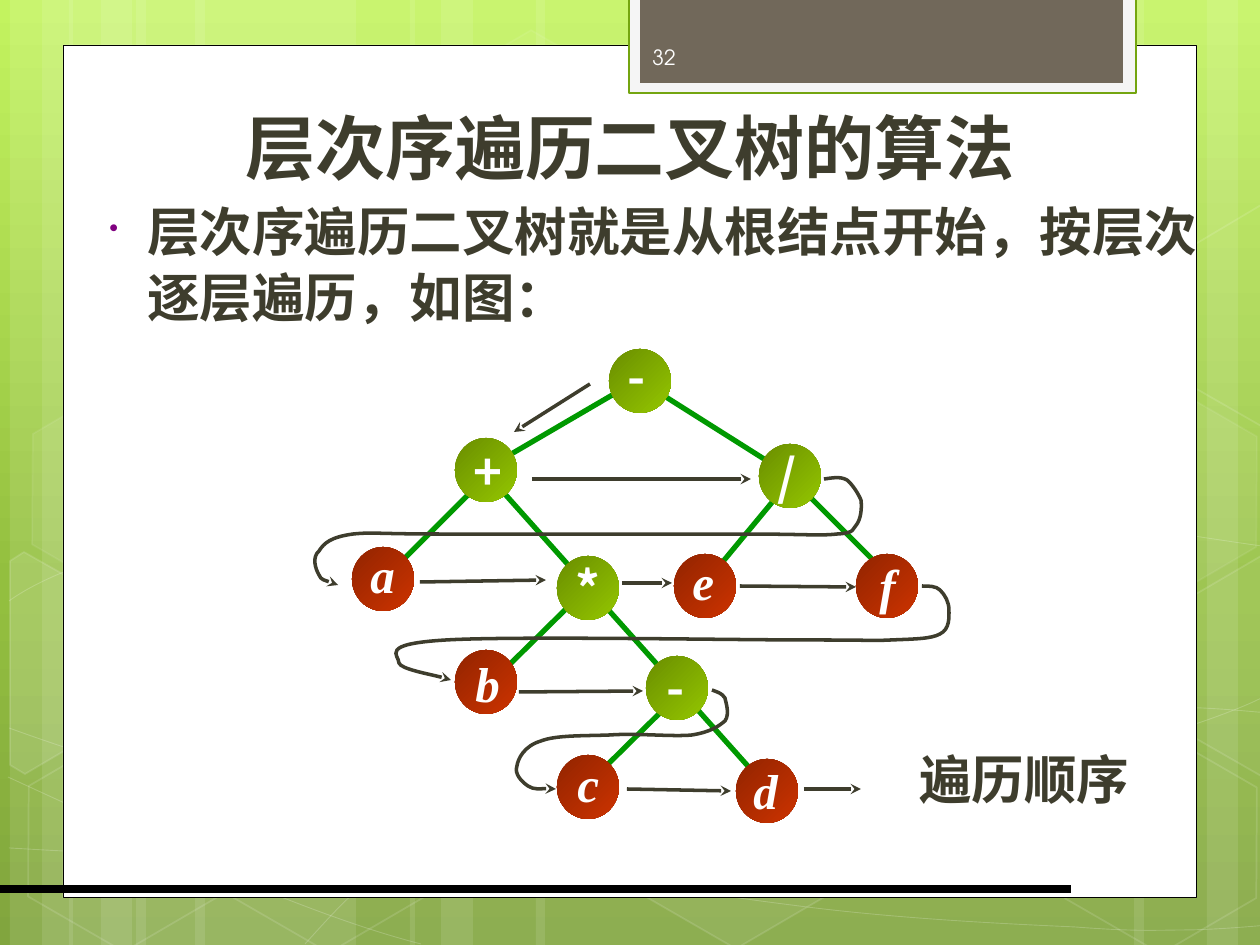
"""Slide on level-order traversal of a binary tree."""
import copy
from dataclasses import dataclass

from lxml import etree
from pptx import Presentation
from pptx import util as u
from pptx.dml.color import RGBColor
from pptx.enum import shapes, text
from pptx.oxml.ns import qn

PX = 914400 / 126
LEFT, CENTER = text.PP_ALIGN.LEFT, text.PP_ALIGN.CENTER
TOP, MIDDLE, BOTTOM = text.MSO_ANCHOR.TOP, text.MSO_ANCHOR.MIDDLE, text.MSO_ANCHOR.BOTTOM


@dataclass(frozen=True)
class Theme:
    """Colours, fonts and type sizes."""
    ink: str = "3E3D2D"
    white: str = "FFFFFF"
    black: str = "000000"
    edge: str = "009900"
    bullet: str = "800080"
    tab: str = "F5F5F5"
    tab_line: str = "74A510"
    tab_core: str = "71685A"
    number: str = "FEFEFE"
    backdrop: tuple = ((0, "C3F35F"), (0.62, "93BF3F"), (1, "81A53E"))
    operator: tuple = ((0, "6A8E00"), (1, "94C600"))
    operand: tuple = ((0, "922400"), (1, "CC3300"))
    head_font: str = "TeX Gyre Adventor"
    body_font: str = "Times New Roman"
    cjk_font: str = "Noto Sans CJK SC"
    title: int = 40
    body: int = 30
    label: int = 28
    small: int = 12


T = Theme()

BANDS = ((136, 220), (10, 63), (42, 104), (195, 220), (69, 63), (101, 104),
         (924, 220), (1207, 63), (1134, 104), (536, 388), (410, 63), (441, 104))
SWEEPS = (
    ((9, 848), (77, 852), (145, 856), (239, 854), (334, 853), (451, 850), (577, 838),
     (703, 825), (882, 801), (998, 777), (1113, 753), (1231, 716), (1269, 694)),
    ((9, 601), (37, 581), (82, 562), (152, 543), (224, 524), (326, 496), (437, 488),
     (549, 479), (685, 478), (824, 488), (963, 498), (1193, 537), (1269, 547)),
    ((8, 777), (160, 847), (311, 916), (421, 944)),
    ((9, 728), (48, 742), (88, 756), (161, 776), (234, 795), (344, 827), (450, 848),
     (554, 869), (687, 892), (791, 905), (896, 919), (1008, 924), (1075, 927),
     (1140, 932), (1158, 930), (1191, 930), (1223, 929), (1246, 927), (1269, 925)),
    ((305, 944), (328, 919), (350, 893), (381, 871), (411, 848), (454, 822), (489, 805),
     (524, 788), (546, 780), (592, 767), (638, 754), (722, 737), (766, 728),
     (811, 719), (818, 719), (857, 717), (896, 713), (958, 709), (1000, 708),
     (1045, 707), (1116, 708), (1116, 708), (1144, 708), (1173, 708), (1201, 708),
     (1223, 709), (1245, 711), (1256, 712), (1268, 713), (1264, 712), (1268, 713)))
HEXAGONS = ((421, 45, 4, 8), (626, 742, 6, 12), (14, 745, 0, 12), (18, 393, 7, 8),
            (219, 746, 0, 12), (949, 571, 10, 12), (1051, 747, 0, 12), (1051, 396, 7, 8))
CUT_HEXAGONS = (
    (((10, 561), (24, 552), (121, 607), (120, 718), (25, 774), (10, 765)), 10),
    (((1167, 611), (1261, 556), (1271, 562), (1271, 772), (1263, 777), (1167, 722)), 4),
    (((1167, 261), (1261, 205), (1272, 212), (1271, 422), (1263, 427), (1167, 372)), 0))

EDGES = ((626, 387, 501, 460), (473, 490, 401, 562), (504, 493, 755, 774),
         (570, 605, 504, 670), (667, 706, 596, 776), (779, 494, 716, 570),
         (658, 392, 772, 464), (806, 493, 879, 566))
NODES = (("-", 609, 349, 6, -9, 50), ("a", 352, 547, 6, -9, 50), ("b", 455, 650, 8, -3, 50),
         ("c", 557, 755, 8, -8, 47), ("d", 736, 759, 5, -5, 50), ("f", 856, 554, 11, -5, 42),
         ("e", 674, 554, 6, -9, 47), ("+", 455, 438, 6, -3, 50), ("-", 646, 656, 8, -5, 50),
         ("*", 557, 556, 6, -4, 50), ("/", 759, 444, 6, -4, 50))
STEPS = ((590, 384, 514, 432), (532, 479, 751, 479), (420, 582, 546, 580),
         (622, 583, 672, 583), (740, 586, 856, 587), (519, 692, 643, 691),
         (627, 789, 731, 791), (804, 789, 861, 789))
RETURNS = (
    ((824, 479), (832, 478), (840, 476), (847, 480), (852, 484), (858, 493), (861, 500),
     (862, 508), (861, 518), (857, 524), (852, 529), (856, 533), (837, 534),
     (818, 536), (808, 534), (742, 534), (677, 534), (508, 534), (442, 534),
     (377, 534), (373, 532), (353, 534), (331, 537), (324, 543), (319, 551),
     (312, 557), (315, 568), (319, 575), (321, 580), (333, 583), (338, 585)),
    ((922, 586), (929, 586), (936, 586), (940, 590), (945, 595), (949, 602), (949, 610),
     (949, 617), (950, 629), (940, 634), (931, 639), (914, 639), (891, 640),
     (868, 641), (882, 640), (808, 640), (733, 640), (514, 636), (446, 640),
     (378, 644), (399, 655), (399, 663), (401, 669), (444, 677), (451, 680)),
    ((712, 690), (717, 692), (722, 693), (725, 698), (726, 703), (730, 714), (725, 721),
     (719, 726), (711, 732), (692, 735), (673, 737), (636, 733), (610, 735),
     (585, 736), (556, 735), (541, 741), (524, 746), (518, 759), (517, 766),
     (514, 774), (522, 782), (528, 786), (534, 790), (552, 788), (556, 789)))


def px(*lengths):
    """Turn pixel lengths into EMU."""
    return [u.Emu(round(n * PX)) for n in lengths]


def rgb(value):
    """Make a colour from its hex string."""
    return RGBColor.from_string(value)


def fade(sp, where, alpha):
    """Set the opacity, in percent, of one colour of a shape."""
    etree.SubElement(sp._element.spPr.find(where), qn("a:alpha"), val=str(alpha * 1000))


def blend(fill, holder, stops, angle):
    """Give a fill a linear gradient, its angle measured clockwise."""
    fill.gradient()
    fill.gradient_angle = 360 - angle
    gs_list = next(holder.iter(qn("a:gsLst")))
    while len(gs_list) < len(stops):
        gs_list.append(copy.deepcopy(gs_list[-1]))
    for stop, (position, color) in zip(fill.gradient_stops, stops):
        stop.color.rgb = rgb(color)
        stop.position = position


def style(sp, fill=None, line=None, width=1.0, alpha=100, line_alpha=100):
    """Set the fill and outline of a shape and drop its shadow."""
    sp.shadow.inherit = False
    if fill:
        sp.fill.solid()
        sp.fill.fore_color.rgb = rgb(fill)
        fade(sp, qn("a:solidFill") + "/" + qn("a:srgbClr"), alpha)
    else:
        sp.fill.background()
    if line:
        sp.line.color.rgb = rgb(line)
        sp.line.width = u.Pt(width)
        fade(sp, "/".join(map(qn, ("a:ln", "a:solidFill", "a:srgbClr"))), line_alpha)
    else:
        sp.line.fill.background()
    return sp


def preset(slide, kind, box, **look):
    """Add a preset shape."""
    return style(slide.shapes.add_shape(kind, *px(*box)), **look)


def arrowhead(sp):
    """End a line with a stealth arrowhead."""
    etree.SubElement(sp._element.spPr.find(qn("a:ln")), qn("a:tailEnd"), type="stealth")


def outline(slide, points, close=False, **look):
    """Add a freeform through straight points."""
    builder = slide.shapes.build_freeform(*points[0], scale=PX)
    builder.add_line_segments(points[1:], close=close)
    return style(builder.convert_to_shape(), **look)


def curve(slide, points, **look):
    """Add a chain of Bezier curves, three points to each after the start."""
    sp = outline(slide, points, **look)
    track = next(sp._element.iter(qn("a:path")))
    segments = track.findall(qn("a:lnTo"))
    for i in range(0, len(segments), 3):
        bend = etree.SubElement(track, qn("a:cubicBezTo"))
        for segment in segments[i:i + 3]:
            bend.append(segment[0])
            track.remove(segment)
    return sp


def line(slide, ends, color, width):
    """Add a straight line."""
    sp = slide.shapes.add_connector(shapes.MSO_CONNECTOR.STRAIGHT, *px(*ends))
    sp.line.color.rgb = rgb(color)
    sp.line.width = u.Pt(width)
    etree.SubElement(sp._element.spPr, qn("a:effectLst"))
    return sp


def words(slide, box, content, size, font, color=T.ink, bold=True, italic=False,
          align=LEFT, anchor=TOP, wrap=True):
    """Add a text box with one run and return its paragraph."""
    tf = slide.shapes.add_textbox(*px(*box)).text_frame
    tf.word_wrap = wrap
    tf.vertical_anchor = anchor
    if not wrap:
        tf.auto_size = text.MSO_AUTO_SIZE.SHAPE_TO_FIT_TEXT
    p = tf.paragraphs[0]
    p.alignment = align
    r = p.add_run()
    r.text = content
    r.font.size, r.font.name = u.Pt(size), font
    r.font.bold, r.font.italic = bold, italic
    r.font.color.rgb = rgb(color)
    etree.SubElement(r.font._element, qn("a:ea"), typeface=T.cjk_font)
    return p


def bullet(p):
    """Give a paragraph a small hanging bullet."""
    p.line_spacing, p.space_before = 1.05, u.Pt(6)
    props = p._p.get_or_add_pPr()
    margin, indent = px(48, -38)
    props.set("marL", str(margin))
    props.set("indent", str(indent))
    color = etree.SubElement(props, qn("a:buClr"))
    etree.SubElement(color, qn("a:srgbClr"), val=T.bullet)
    etree.SubElement(props, qn("a:buSzPct"), val="50000")
    etree.SubElement(props, qn("a:buChar"), char="•")


def backdrop(slide):
    """Draw the green background, the white page and its tab."""
    rect = shapes.MSO_SHAPE.RECTANGLE
    blend(slide.background.fill, slide._element, T.backdrop, 90)
    for left, width in BANDS:
        preset(slide, rect, (left, 0, width, 945), fill=T.white, alpha=10)
    for points in SWEEPS:
        curve(slide, points, line=T.white, width=0.5, line_alpha=20)
    for left, top, alpha, line_alpha in HEXAGONS:
        sp = preset(slide, shapes.MSO_SHAPE.HEXAGON, (left, top, 220, 192),
                    fill=T.white if alpha else None, alpha=alpha,
                    line=T.white, line_alpha=line_alpha)
        sp.adjustments[0], sp.adjustments[1] = 0.285, 1.155
        sp.rotation = 30
    for points, alpha in CUT_HEXAGONS:
        outline(slide, points, close=True, fill=T.white if alpha else None,
                alpha=alpha, line=T.white, line_alpha=12)
    preset(slide, rect, (63, 45, 1134, 853), fill=T.white, line=T.black, width=0.5)
    preset(slide, rect, (629, -3, 507, 96), fill=T.tab, line=T.tab_line, width=1.25)
    preset(slide, rect, (640, -3, 483, 86), fill=T.tab_core)
    line(slide, (0, 889, 1071, 889), T.black, 4.5)


def tree(slide):
    """Draw the expression tree with its labelled nodes."""
    for ends in EDGES:
        line(slide, ends, T.edge, 3)
    for symbol, left, top, *_ in NODES:
        sp = preset(slide, shapes.MSO_SHAPE.OVAL, (left, top, 62, 64))
        blend(sp.fill, sp._element.spPr, T.operand if symbol.isalpha() else T.operator, 45)
    for symbol, left, top, dx, dy, width in NODES:
        leaf = symbol.isalpha()
        words(slide, (left + dx, top + dy, width, 72), symbol, T.label,
              T.body_font if leaf else T.cjk_font, T.white, italic=leaf, wrap=False)


def traversal(slide):
    """Draw the arrows that show the visiting order."""
    for ends in STEPS:
        arrowhead(line(slide, ends, T.ink, 2))
    for points in RETURNS:
        arrowhead(curve(slide, points, line=T.ink, width=2))


def main():
    """Build and save the slide."""
    prs = Presentation()
    prs.slide_width, prs.slide_height = px(1260, 945)
    slide = prs.slides.add_slide(prs.slide_layouts[6])
    backdrop(slide)
    words(slide, (63, 63, 1134, 132), "层次序遍历二叉树的算法", T.title, T.head_font,
          align=CENTER, anchor=BOTTOM)
    bullet(words(slide, (87, 190, 1134, 536),
                 "层次序遍历二叉树就是从根结点开始，按层次逐层遍历，如图：", T.body, T.body_font))
    words(slide, (640, 32, 184, 50), "32", T.small, T.head_font, T.number,
          bold=False, anchor=MIDDLE)
    words(slide, (907, 741, 284, 76), "遍历顺序", T.body, T.body_font)
    tree(slide)
    traversal(slide)
    prs.save("out.pptx")


if __name__ == "__main__":
    main()
